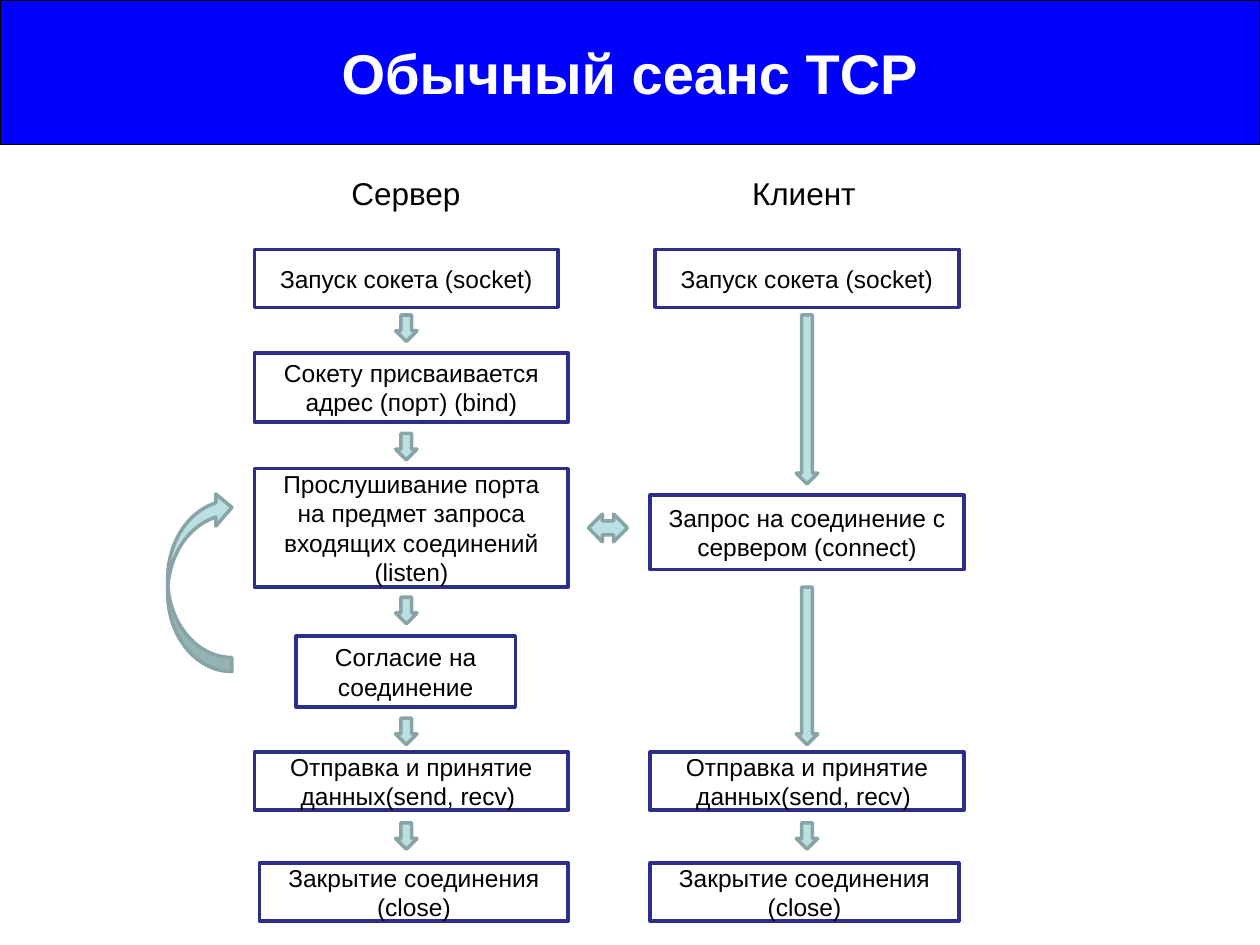
import pptx
import pptx.util
import pptx.dml.color
import pptx.enum.shapes
import pptx.enum.text

Inches = pptx.util.Inches
Kind = pptx.enum.shapes.MSO_SHAPE
Align = pptx.enum.text.PP_ALIGN
Fit = pptx.enum.text.MSO_AUTO_SIZE
Mid = pptx.enum.text.MSO_ANCHOR.MIDDLE


def color(code):
    return pptx.dml.color.RGBColor.from_string(code)


def apply(item, values):
    for name, value in values.items():
        setattr(item, name, value)


class Flow:
    font = "Arial"
    box_look = {"fill": "FFFFFF", "line": "2D2D8A", "width": 2}
    arrow_look = {"fill": "BBE0E3", "line": "89A4A7", "width": 2}
    title_look = {"fill": "0000FF", "line": "000000", "width": 0.75}

    def __init__(self, deck):
        self.slide = deck.slides.add_slide(deck.slide_layouts[5])

    def place(self, shape, area):
        names = ("left", "top", "width", "height")
        apply(shape, dict(zip(names, map(Inches, area))))

    def paint(self, shape, look):
        shape.fill.solid()
        shape.fill.fore_color.rgb = color(look["fill"])
        shape.line.color.rgb = color(look["line"])
        shape.line.width = pptx.util.Pt(look["width"])

    def letter(self, shape, text, size, ink="000000", bold=False,
               align=Align.CENTER, **frame):
        apply(shape.text_frame, {"text": text, "word_wrap": True, **frame})
        para = shape.text_frame.paragraphs[0]
        para.alignment = align
        font = para.runs[0].font
        apply(font, {"name": self.font, "size": pptx.util.Pt(size), "bold": bold})
        font.color.rgb = color(ink)

    def title(self, text, area):
        shape = self.slide.shapes.title
        self.place(shape, area)
        self.paint(shape, self.title_look)
        self.letter(shape, text, 32, "FFFFFF", True, word_wrap=False,
                    vertical_anchor=Mid, auto_size=Fit.NONE)

    def label(self, text, area):
        shape = self.slide.shapes.add_textbox(*map(Inches, area))
        self.letter(shape, text, 18, align=Align.LEFT, word_wrap=False,
                    auto_size=Fit.SHAPE_TO_FIT_TEXT)

    def form(self, kind, area, look):
        shape = self.slide.shapes.add_shape(kind, *map(Inches, area))
        shape.shadow.inherit = False
        self.paint(shape, look)
        return shape

    def box(self, text, area):
        shape = self.form(Kind.RECTANGLE, area, self.box_look)
        self.letter(shape, text, 14, vertical_anchor=Mid)

    def arrow(self, kind, area, turn=0, bends=()):
        shape = self.form(kind, area, self.arrow_look)
        shape.rotation = turn
        for spot, bend in enumerate(bends):
            shape.adjustments[spot] = bend


deck = pptx.Presentation()
apply(deck, {"slide_width": Inches(10), "slide_height": Inches(7.5)})
flow = Flow(deck)
flow.title("Обычный сеанс TCP", (0, 0, 10, 1.15))

# Column heads
flow.label("Cервер", (2.69, 1.33, 1.07, 0.4))
flow.label("Клиент", (5.87, 1.33, 1.02, 0.4))

# Steps both sides share: text, top, width, server left, client left
shared = [
    ("Запуск сокета (socket)", 1.98, 2.41, 2.02, 5.2),
    ("Отправка и принятие данных(send, recv) ", 5.97, 2.49, 2.02, 5.16),
    ("Закрытие соединения (close)", 6.85, 2.45, 2.06, 5.16),
]
for text, top, width, *lefts in shared:
    for left in lefts:
        flow.box(text, (left, top, width, 0.46))

# Steps of one side only
single = [
    ("Сокету присваивается адрес (порт) (bind)", (2.02, 2.8, 2.49, 0.55)),
    ("Прослушивание порта на предмет запроса входящих соединений (listen)",
     (2.02, 3.72, 2.49, 0.94)),
    ("Согласие на соединение", (2.35, 5.05, 1.74, 0.56)),
    ("Запрос на соединение с сервером (connect)", (5.16, 3.93, 2.49, 0.59)),
]
for text, area in single:
    flow.box(text, area)

# Down arrows: left, then top and height of each
downs = {
    3.14: [(top, 0.21) for top in (2.5, 3.44, 4.74, 5.7, 6.53)],
    6.32: [(2.5, 1.34), (4.66, 1.25), (6.53, 0.21)],
}
for left, spans in downs.items():
    for top, height in spans:
        flow.arrow(Kind.DOWN_ARROW, (left, top, 0.17, height))

# Link between the sides and the loop back to listening
flow.arrow(Kind.LEFT_RIGHT_ARROW, (4.67, 4.08, 0.31, 0.22))
flow.arrow(Kind.CURVED_LEFT_ARROW, (1.33, 3.9, 0.51, 1.43), 180, (0.22, 0.5, 0.25))

deck.save("out.pptx")
